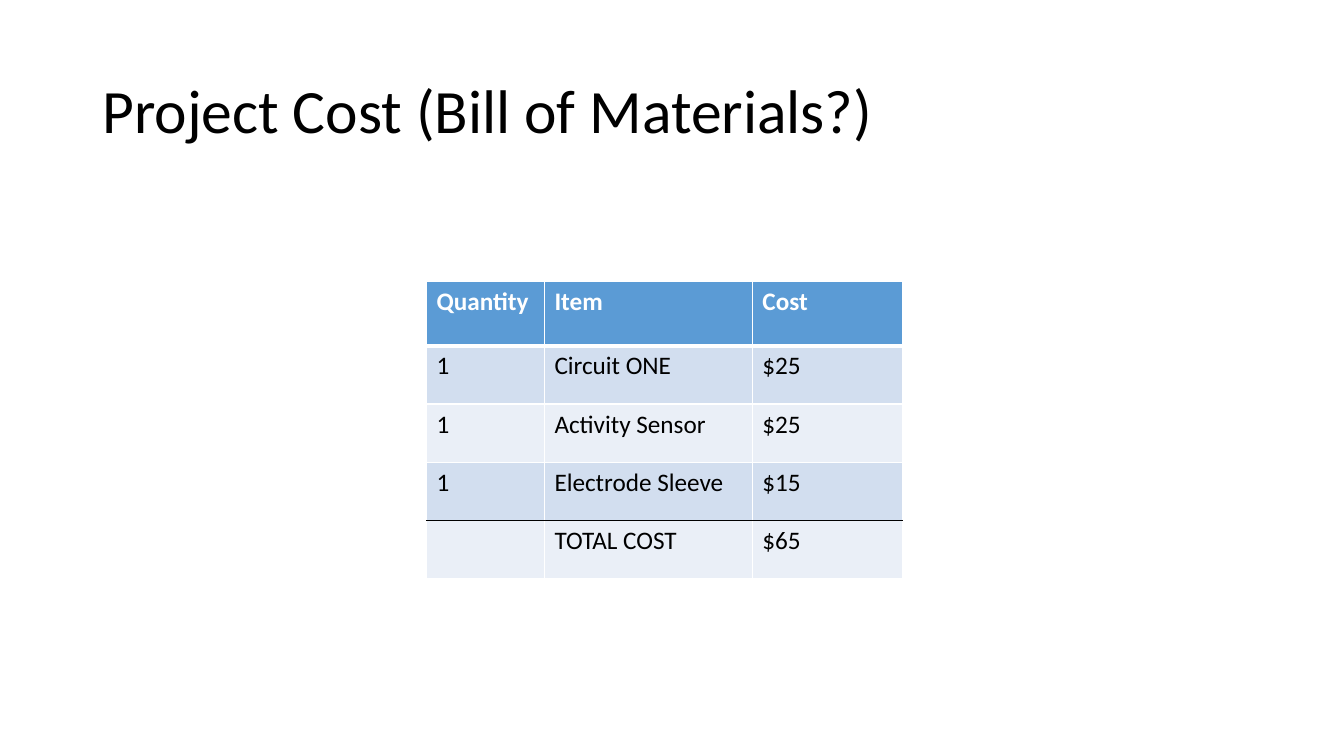
from dataclasses import dataclass

from lxml import etree
from pptx import Presentation
from pptx.dml.color import RGBColor
from pptx.enum.text import MSO_ANCHOR
from pptx.oxml.ns import qn
from pptx.util import Cm, Pt

MIDDLE = MSO_ANCHOR.MIDDLE


@dataclass(frozen=True)
class Theme:
    font: str = "Calibri"
    title_size: int = 44
    cell_size: int = 18
    ink: str = "000000"
    paper: str = "FFFFFF"
    header: str = "5B9BD5"
    bands: tuple = ("D2DEEF", "EAEFF7")
    thin: int = 1
    thick: int = 3


class CostSlide:
    def __init__(self, deck, theme):
        self.theme = theme
        self.slide = deck.slides.add_slide(deck.slide_layouts[6])

    def format_font(self, font, size, color, bold=False):
        values = {"name": self.theme.font, "size": Pt(size), "bold": bold}
        for attribute, value in values.items():
            setattr(font, attribute, value)
        font.color.rgb = RGBColor.from_string(color)

    def title(self, wording, left, top, width, height):
        heading = self.slide.shapes.add_textbox(
            Cm(left), Cm(top), Cm(width), Cm(height))
        frame = heading.text_frame
        for attribute, value in {"word_wrap": True, "vertical_anchor": MIDDLE}.items():
            setattr(frame, attribute, value)
        paragraph = frame.paragraphs[0]
        paragraph.text = wording
        paragraph.line_spacing = 0.9
        self.format_font(paragraph.font, self.theme.title_size, self.theme.ink)

    def borders(self, cell, **edges):
        properties = cell._tc.get_or_add_tcPr()
        plain = (self.theme.paper, self.theme.thin)
        for position, side in enumerate("LRTB"):
            color, weight = edges.get(side, plain)
            line = etree.Element(qn(f"a:ln{side}"), w=str(Pt(weight)))
            fill = etree.SubElement(line, qn("a:solidFill"))
            etree.SubElement(fill, qn("a:srgbClr"), val=color)
            properties.insert(position, line)

    def table(self, entries, left, top, widths, heights):
        theme = self.theme
        bill = self.slide.shapes.add_table(
            len(heights), len(widths), Cm(left), Cm(top),
            Cm(sum(widths)), Cm(sum(heights))).table
        for column, width in zip(bill.columns, widths):
            column.width = Cm(width)
        for row, height in zip(bill.rows, heights):
            row.height = Cm(height)

        header_rule = (theme.paper, theme.thick)
        total_rule = (theme.ink, theme.thin)
        total = len(entries) - 1
        edges = {
            0: {"B": header_rule},
            1: {"T": header_rule},
            total - 1: {"B": total_rule},
            total: {"T": total_rule},
        }
        for index, entry in enumerate(entries):
            is_header = index == 0
            shade = theme.header if is_header else theme.bands[(index - 1) % 2]
            color = theme.paper if is_header else theme.ink
            for cell, wording in zip(bill.rows[index].cells, entry):
                cell.text = wording
                self.format_font(cell.text_frame.paragraphs[0].font,
                                 theme.cell_size, color, is_header)
                cell.fill.solid()
                cell.fill.fore_color.rgb = RGBColor.from_string(shade)
                self.borders(cell, **edges.get(index, {}))


def main():
    deck = Presentation()
    deck.slide_width, deck.slide_height = Cm(33.87), Cm(19.05)
    costs = CostSlide(deck, Theme())
    costs.title("Project Cost (Bill of Materials?)", 2.33, 1.01, 29.21, 3.68)
    entries = [
        ("Quantity", "Item", "Cost"),
        ("1", "Circuit ONE", "$25"),
        ("1", "Activity Sensor", "$25"),
        ("1", "Electrode Sleeve", "$15"),
        ("", "TOTAL COST", "$65"),
    ]
    costs.table(entries, 10.75, 7.09, [2.97, 5.24, 3.78], [1.62] + [1.47] * 4)
    deck.save("out.pptx")


if __name__ == "__main__":
    main()
